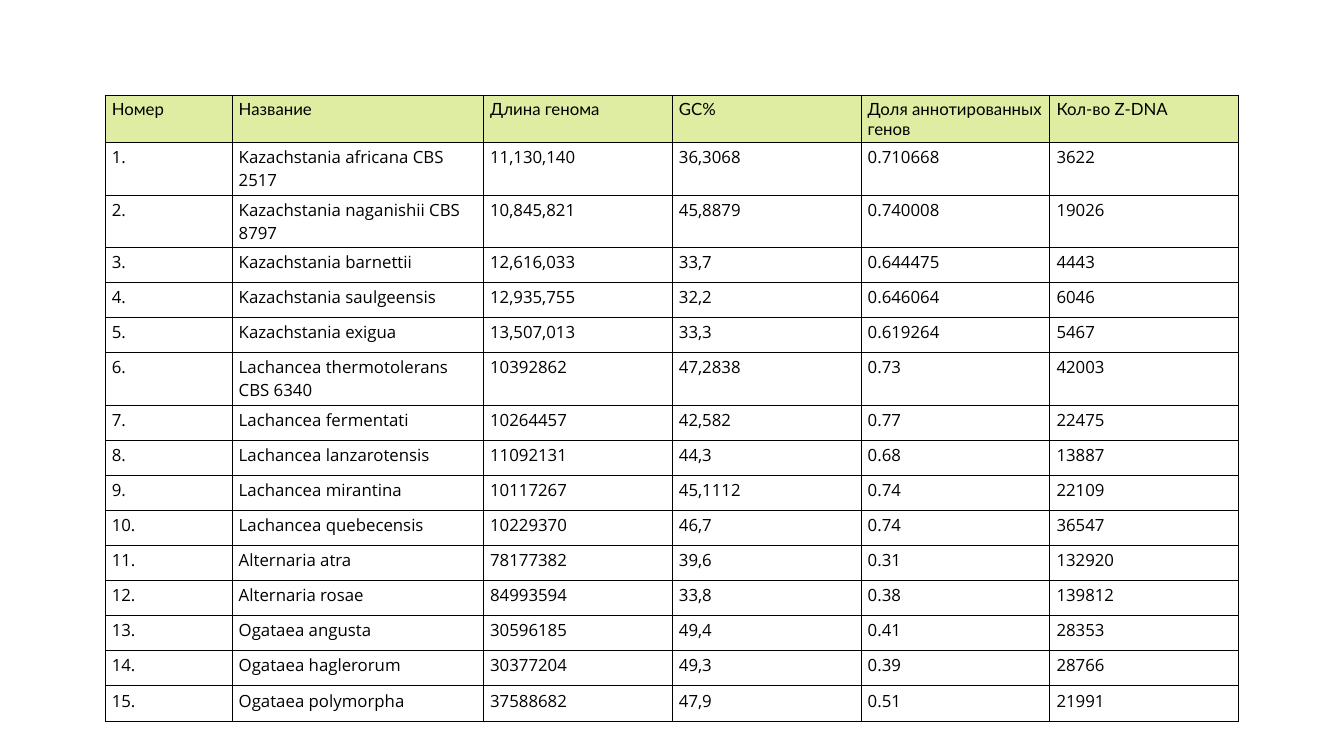
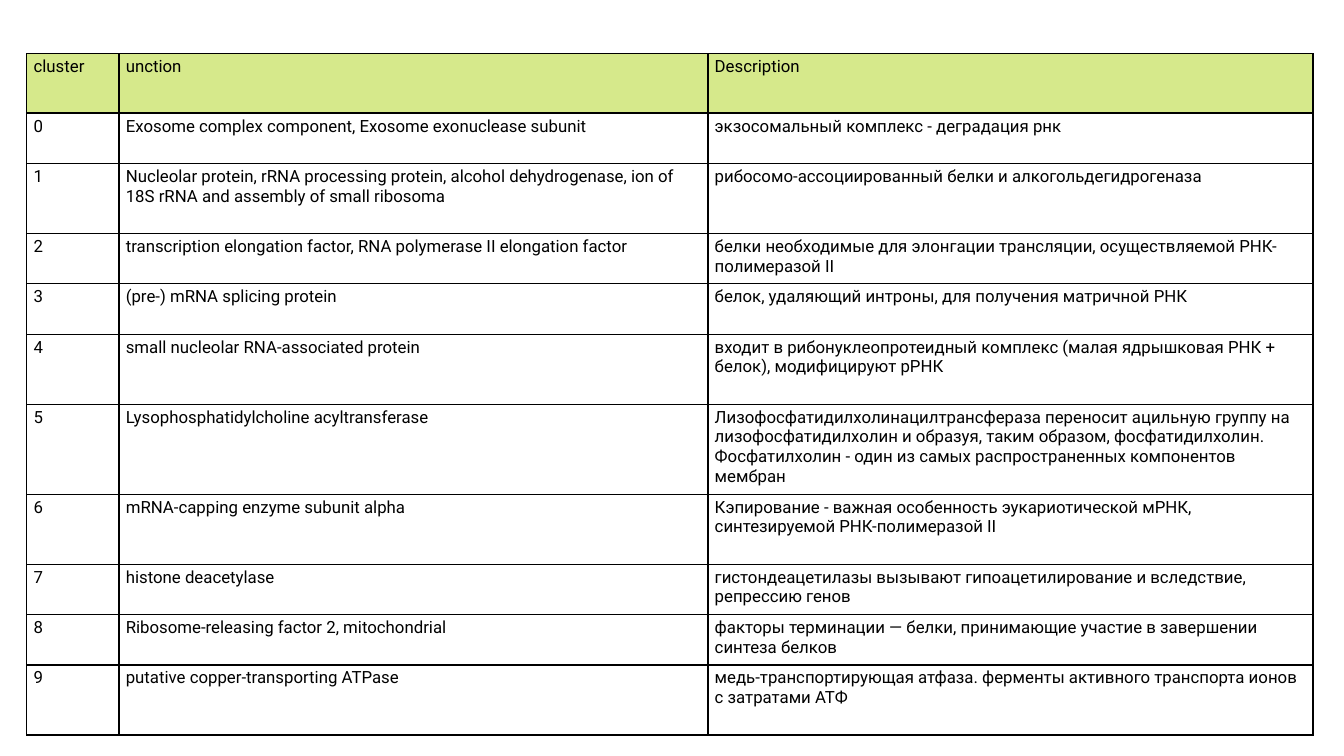
from dataclasses import dataclass

from lxml.etree import SubElement
from pptx import Presentation
from pptx.dml.color import RGBColor
from pptx.enum.shapes import MSO_SHAPE
from pptx.oxml.ns import qn
from pptx.util import Pt


@dataclass(frozen=True)
class Theme:
    band: str = "C9E265"
    ink: str = "000000"
    text_size: float = 18


class Deck:
    def __init__(self, theme):
        self.theme = theme
        self.presentation = Presentation()
        self.presentation.slide_width = Pt(1440)
        self.presentation.slide_height = Pt(810)
        self.slide = None

    def new_slide(self):
        blank = self.presentation.slide_layouts[6]
        self.slide = self.presentation.slides.add_slide(blank)

    def header_band(self, left, top, width, height, opacity):
        band = self.slide.shapes.add_shape(
            MSO_SHAPE.RECTANGLE, Pt(left), Pt(top), Pt(width), Pt(height))
        band.shadow.inherit = False
        band.line.fill.background()
        band.fill.solid()
        band.fill.fore_color.rgb = RGBColor.from_string(self.theme.band)
        color = band.fill._xPr.find(qn("a:solidFill"))[0]
        SubElement(color, qn("a:alpha"), val=str(opacity * 1000))

    def table(self, left, top, columns, heights, rows, header_font, body_font, border):
        frame = self.slide.shapes.add_table(
            len(rows), len(columns), Pt(left), Pt(top),
            Pt(sum(columns)), Pt(sum(heights)))
        grid = frame.table
        grid.first_row = grid.horz_banding = False
        for column, width in zip(grid.columns, columns):
            column.width = Pt(width)
        for index, (row, height, texts) in enumerate(zip(grid.rows, heights, rows)):
            row.height = Pt(height)
            for cell, text in zip(row.cells, texts):
                self.cell(cell, text, body_font if index else header_font, border)

    def cell(self, cell, text, font_name, border):
        self.borders(cell, border)
        cell.fill.background()
        cell.text = text
        font = cell.text_frame.paragraphs[0].font
        font.name = font_name
        font.size = Pt(self.theme.text_size)
        font.color.rgb = RGBColor.from_string(self.theme.ink)

    def borders(self, cell, width):
        properties = cell._tc.get_or_add_tcPr()
        for side in ("lnL", "lnR", "lnT", "lnB"):
            line = SubElement(properties, qn(f"a:{side}"), w=str(Pt(width)))
            fill = SubElement(line, qn("a:solidFill"))
            SubElement(fill, qn("a:srgbClr"), val=self.theme.ink)

    def save(self):
        self.presentation.save("out.pptx")


GENOME_HEADER = ("Номер", "Название", "Длина генома", "GC%",
                 "Доля аннотированных генов", "Кол-во Z-DNA")
GENOMES = [
    ("Kazachstania africana CBS 2517", "11,130,140", "36,3068", "0.710668", "3622"),
    ("Kazachstania naganishii CBS 8797", "10,845,821", "45,8879", "0.740008", "19026"),
    ("Kazachstania barnettii", "12,616,033", "33,7", "0.644475", "4443"),
    ("Kazachstania saulgeensis", "12,935,755", "32,2", "0.646064", "6046"),
    ("Kazachstania exigua", "13,507,013", "33,3", "0.619264", "5467"),
    ("Lachancea thermotolerans CBS 6340", "10392862", "47,2838", "0.73", "42003"),
    ("Lachancea fermentati", "10264457", "42,582", "0.77", "22475"),
    ("Lachancea lanzarotensis", "11092131", "44,3", "0.68", "13887"),
    ("Lachancea mirantina", "10117267", "45,1112", "0.74", "22109"),
    ("Lachancea quebecensis", "10229370", "46,7", "0.74", "36547"),
    ("Alternaria atra", "78177382", "39,6", "0.31", "132920"),
    ("Alternaria rosae", "84993594", "33,8", "0.38", "139812"),
    ("Ogataea angusta", "30596185", "49,4", "0.41", "28353"),
    ("Ogataea haglerorum", "30377204", "49,3", "0.39", "28766"),
    ("Ogataea polymorpha", "37588682", "47,9", "0.51", "21991"),
]

CLUSTER_HEADER = ("cluster", "unction", "Description")
CLUSTERS = [
    ("Exosome complex component, Exosome exonuclease subunit",
     "экзосомальный комплекс - деградация рнк"),
    ("Nucleolar protein, rRNA processing protein, alcohol dehydrogenase, "
     "ion of 18S rRNA and assembly of small ribosoma",
     "рибосомо-ассоциированный белки и алкогольдегидрогеназа"),
    ("transcription elongation factor, RNA polymerase II elongation factor",
     "белки необходимые для элонгации трансляции, осуществляемой "
     "РНК-полимеразой II"),
    ("(pre-) mRNA splicing protein",
     "белок, удаляющий интроны, для получения матричной РНК"),
    ("small nucleolar RNA-associated protein",
     "входит в рибонуклеопротеидный комплекс (малая ядрышковая РНК + белок), "
     "модифицируют рРНК"),
    ("Lysophosphatidylcholine acyltransferase",
     "Лизофосфатидилхолинацилтрансфераза переносит ацильную группу на "
     "лизофосфатидилхолин и образуя, таким образом, фосфатидилхолин. "
     "Фосфатилхолин - один из самых распространенных компонентов мембран"),
    ("mRNA-capping enzyme subunit alpha",
     "Кэпирование - важная особенность эукариотической мРНК, "
     "синтезируемой РНК-полимеразой II"),
    ("histone deacetylase",
     "гистондеацетилазы вызывают гипоацетилирование и вследствие, "
     "репрессию генов"),
    ("Ribosome-releasing factor 2, mitochondrial",
     "факторы терминации — белки, принимающие участие в завершении "
     "синтеза белков"),
    ("putative copper-transporting ATPase",
     "медь-транспортирующая атфаза. ферменты активного транспорта ионов "
     "с затратами АТФ"),
]


def genome_slide(deck):
    left, top = 112.6, 102.2
    columns = [136, 269.4] + [202.3] * 4
    heights = [49] + [37.6] * len(GENOMES)
    heights[2] = heights[6] = 44.6
    rows = [GENOME_HEADER]
    rows += [(f"{number}.", *genome) for number, genome in enumerate(GENOMES, 1)]
    deck.new_slide()
    deck.header_band(left, top, sum(columns), 51, opacity=60)
    deck.table(left, top, columns, heights, rows, "Lato", "Open Sans", border=0.75)


def cluster_slide(deck):
    left, top = 28.8, 57.6
    columns = [98.8, 631, 648.2]
    short, medium, tall = 54, 75, 96.4
    heights = [63.6, short, medium, short, short, medium,
               tall, medium, short, short, medium]
    rows = [CLUSTER_HEADER]
    rows += [(str(number), *cluster) for number, cluster in enumerate(CLUSTERS)]
    deck.new_slide()
    deck.header_band(left, top, sum(columns), 62.6, opacity=75)
    deck.table(left, top, columns, heights, rows, "Roboto", "Roboto", border=1.5)


def main():
    deck = Deck(Theme())
    genome_slide(deck)
    cluster_slide(deck)
    deck.save()


if __name__ == "__main__":
    main()
